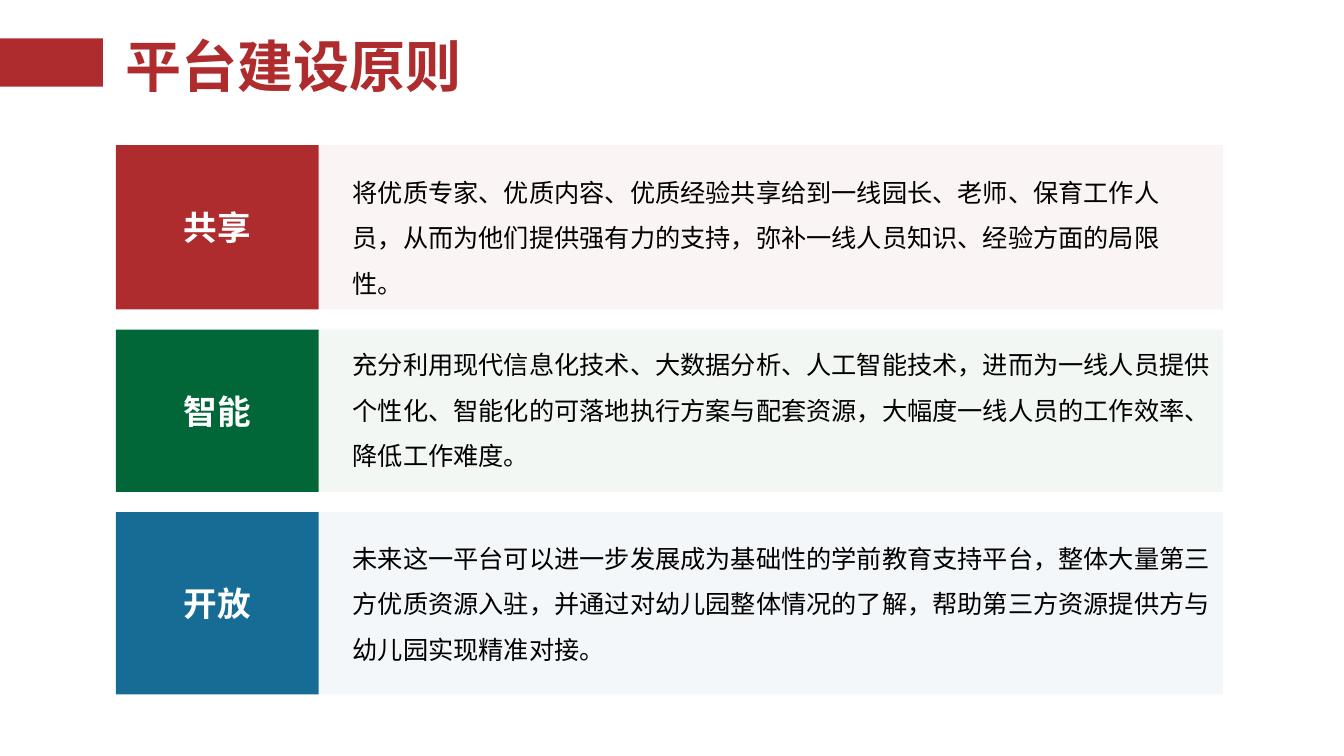
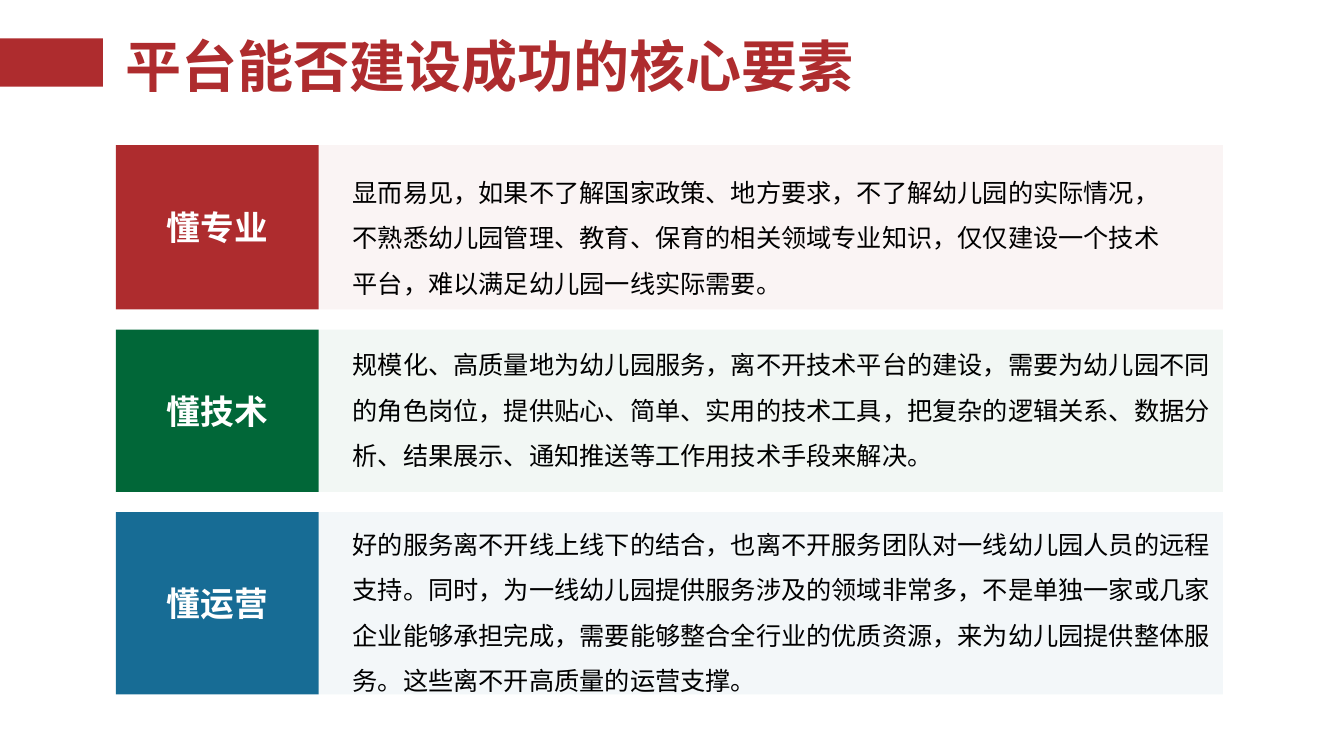
from lxml import etree
from pptx import Presentation
from pptx.dml.color import RGBColor
from pptx.enum.shapes import MSO_SHAPE
from pptx.enum.text import MSO_ANCHOR, MSO_AUTO_SIZE, PP_ALIGN
from pptx.oxml.ns import qn
from pptx.util import Inches, Pt

RECTANGLE = MSO_SHAPE.RECTANGLE
MIDDLE = MSO_ANCHOR.MIDDLE
TOP = MSO_ANCHOR.TOP
GROW = MSO_AUTO_SIZE.SHAPE_TO_FIT_TEXT
CENTER = PP_ALIGN.CENTER
LEFT = PP_ALIGN.LEFT

FONT = "Noto Sans CJK SC"
RED, GREEN, BLUE = "AE2C2E", "016738", "176C95"
WHITE, BLACK = "FFFFFF", "000000"
TINT_PERCENT = 5

SLIDES = [
    ("平台建设原则", [
        ("共享", "将优质专家、优质内容、优质经验共享给到一线园长、老师、保育工作人员，从而为他们提供强有力的支持，弥补一线人员知识、经验方面的局限性。", 1.56, 1.41),
        ("智能", "充分利用现代信息化技术、大数据分析、人工智能技术，进而为一线人员提供个性化、智能化的可落地执行方案与配套资源，大幅度一线人员的工作效率、降低工作难度。", 3.27, 1.41),
        ("开放", "未来这一平台可以进一步发展成为基础性的学前教育支持平台，整体大量第三方优质资源入驻，并通过对幼儿园整体情况的了解，帮助第三方资源提供方与幼儿园实现精准对接。", 5.19, 1.41),
    ]),
    ("平台能否建设成功的核心要素", [
        ("懂专业", "显而易见，如果不了解国家政策、地方要求，不了解幼儿园的实际情况，不熟悉幼儿园管理、教育、保育的相关领域专业知识，仅仅建设一个技术平台，难以满足幼儿园一线实际需要。", 1.56, 1.41),
        ("懂技术", "规模化、高质量地为幼儿园服务，离不开技术平台的建设，需要为幼儿园不同的角色岗位，提供贴心、简单、实用的技术工具，把复杂的逻辑关系、数据分析、结果展示、通知推送等工作用技术手段来解决。", 3.27, 1.41),
        ("懂运营", "好的服务离不开线上线下的结合，也离不开服务团队对一线幼儿园人员的远程支持。同时，为一线幼儿园提供服务涉及的领域非常多，不是单独一家或几家企业能够承担完成，需要能够整合全行业的优质资源，来为幼儿园提供整体服务。这些离不开高质量的运营支撑。", 5.05, 1.87),
    ]),
]

BANDS = [(RED, 1.63, 8.39), (GREEN, 1.61, 8.89), (BLUE, 1.81, 8.89)]
BANDS_TOP, BAND_GAP = 1.44, 0.2
LABEL_LEFT, LABEL_WIDTH = 1.15, 2.01
PANEL_LEFT, PANEL_WIDTH = LABEL_LEFT + LABEL_WIDTH, 8.97
BODY_LEFT = 3.4


def color(hex_code):
    return RGBColor.from_string(hex_code)


def write(shape, text, size, hex_code, bold=False, align=LEFT, spacing=1.0, anchor=MIDDLE):
    frame = shape.text_frame
    frame.word_wrap = True
    frame.vertical_anchor = anchor
    paragraph = frame.paragraphs[0]
    paragraph.text = text
    paragraph.alignment = align
    paragraph.line_spacing = spacing
    font = paragraph.font
    font.size = Pt(size)
    font.bold = bold
    font.color.rgb = color(hex_code)
    font.name = FONT
    defaults = paragraph._p.pPr.find(qn("a:defRPr"))
    etree.SubElement(defaults, qn("a:ea"), typeface=FONT)


def add_block(slide, left, top, width, height, hex_code, opacity=100):
    block = slide.shapes.add_shape(
        RECTANGLE, Inches(left), Inches(top), Inches(width), Inches(height))
    block.shadow.inherit = False
    block.line.fill.background()
    block.fill.solid()
    block.fill.fore_color.rgb = color(hex_code)
    if opacity < 100:
        fill_color = block._element.spPr.find(qn("a:solidFill")).find(qn("a:srgbClr"))
        etree.SubElement(fill_color, qn("a:alpha"), val=str(opacity * 1000))
    return block


def add_text(slide, left, top, width, height):
    return slide.shapes.add_textbox(
        Inches(left), Inches(top), Inches(width), Inches(height))


def add_title(slide, title):
    add_block(slide, 0, 0.38, 1.02, 0.48, RED)
    heading = add_text(slide, 1.15, 0.09, 9.19, 1.2)
    write(heading, title, 40, RED, bold=True, spacing=0.9)


def add_bands(slide, rows):
    top = BANDS_TOP
    for (hue, height, body_width), (name, detail, body_top, body_height) in zip(BANDS, rows):
        add_block(slide, PANEL_LEFT, top, PANEL_WIDTH, height, hue, TINT_PERCENT)
        label = add_block(slide, LABEL_LEFT, top, LABEL_WIDTH, height, hue)
        write(label, name, 24, WHITE, bold=True, align=CENTER)
        body = add_text(slide, BODY_LEFT, body_top, body_width, body_height)
        write(body, detail, 18, BLACK, spacing=1.5, anchor=TOP)
        body.text_frame.auto_size = GROW
        top += height + BAND_GAP


def main():
    deck = Presentation()
    deck.slide_width = Inches(13.33)
    deck.slide_height = Inches(7.5)
    blank = deck.slide_layouts[6]
    for title, rows in SLIDES:
        slide = deck.slides.add_slide(blank)
        add_title(slide, title)
        add_bands(slide, rows)
    deck.save("out.pptx")


if __name__ == "__main__":
    main()
